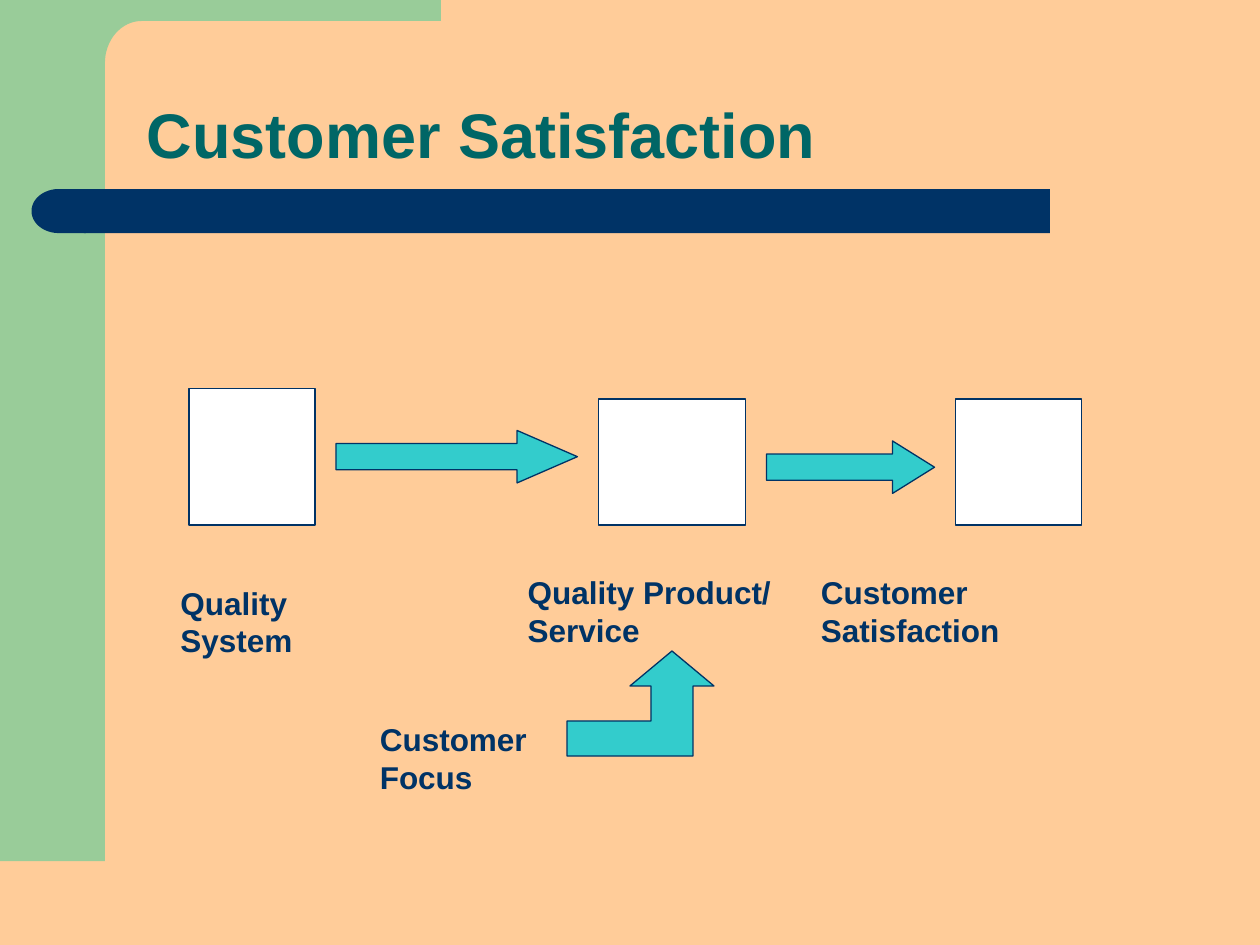
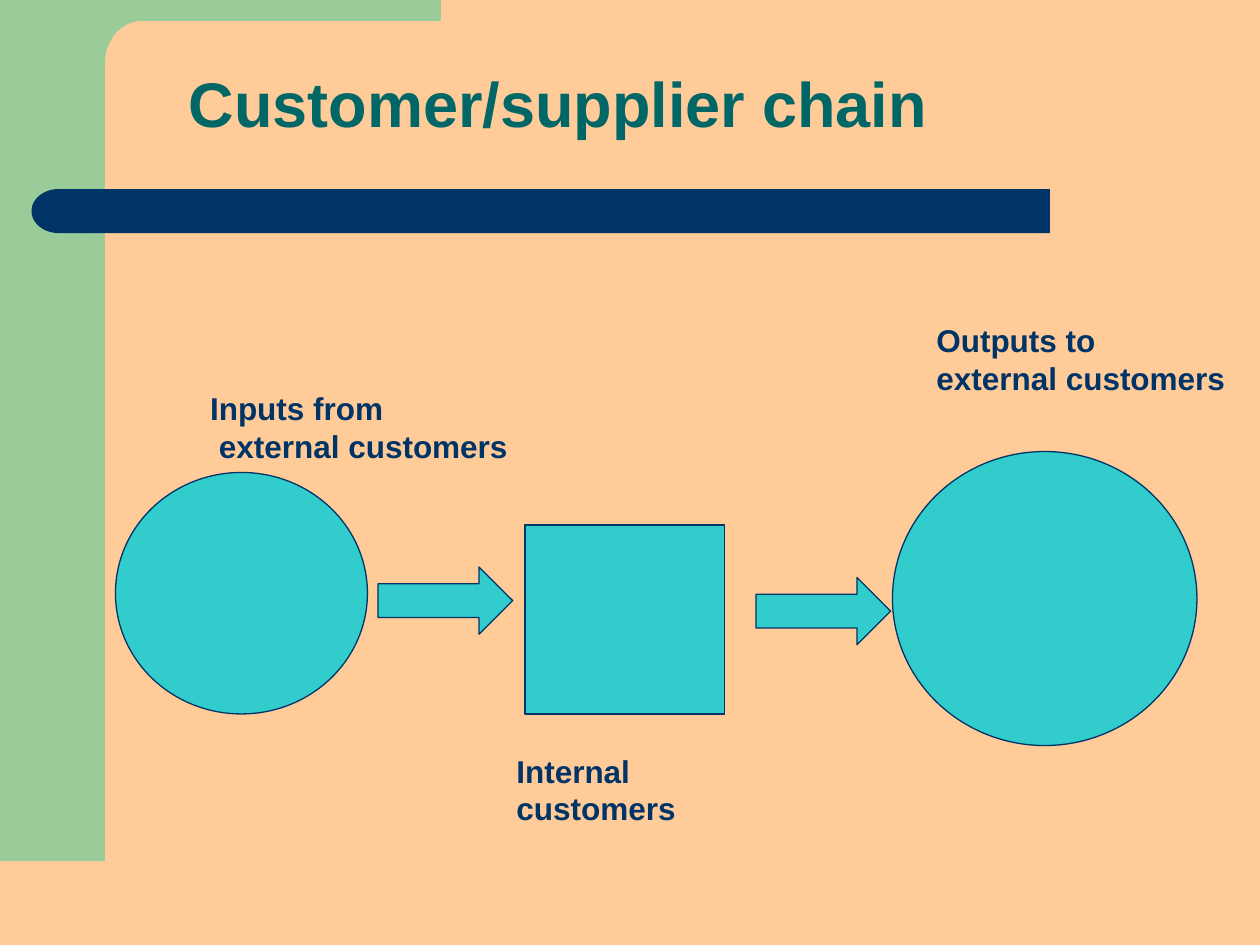
import math
from dataclasses import dataclass

import pptx
import pptx.dml.color
import pptx.enum.shapes
import pptx.enum.text
import pptx.util

Pt = pptx.util.Pt
Kind = pptx.enum.shapes.MSO_SHAPE
Anchor = pptx.enum.text.MSO_ANCHOR


@dataclass(frozen=True)
class Theme:
    paper: str = "FFCC99"
    side: str = "99CC99"
    navy: str = "003366"
    title: str = "006666"
    accent: str = "33CCCC"
    white: str = "FFFFFF"
    font: str = "Arial"
    title_size: float = 36
    label_size: float = 18
    line_width: float = 0.75


@dataclass(frozen=True)
class Box:
    left: float
    top: float
    width: float
    height: float

    def inner(self, left, top, width, height):
        """Box at an offset from this one."""
        return Box(self.left + left, self.top + top, width, height)

    def lengths(self):
        return [Pt(n) for n in (self.left, self.top, self.width, self.height)]


THEME = Theme()
PAGE = Box(0, 0, 720, 540)
CONTENT = PAGE.inner(66, 180, 642, 288)
LINE_HEIGHT = 21.6


def color(code):
    return pptx.dml.color.RGBColor.from_string(code)


def style(shape, fill, outlined):
    shape.shadow.inherit = False
    shape.fill.solid()
    shape.fill.fore_color.rgb = color(fill)
    if outlined:
        shape.line.color.rgb = color(THEME.navy)
        shape.line.width = Pt(THEME.line_width)
    else:
        shape.line.fill.background()
    return shape


def add_shape(page, kind, box, fill=THEME.accent, outlined=True):
    shape = style(page.shapes.add_shape(kind, *box.lengths()), fill, outlined)
    if kind == Kind.RIGHT_ARROW:
        # The head takes a quarter of the arrow's length
        shape.adjustments[1] = box.width / 4 / box.height
    return shape


def add_outline(page, box, points, fill=THEME.accent, outlined=True):
    """Closed outline through points relative to the box."""
    corners = [(Pt(box.left + x), Pt(box.top + y)) for x, y in points]
    builder = page.shapes.build_freeform(*corners[0])
    builder.add_line_segments(corners[1:], close=True)
    return style(builder.convert_to_shape(), fill, outlined)


def add_text(page, box, text, size=THEME.label_size, ink=THEME.navy,
             anchor=Anchor.TOP, wrap=False, spacing=1.0, inset=7.2):
    frame = page.shapes.add_textbox(*box.lengths()).text_frame
    frame.word_wrap = wrap
    frame.vertical_anchor = anchor
    frame.margin_left = Pt(inset)
    for index, line in enumerate(text.split("\n")):
        para = frame.add_paragraph() if index else frame.paragraphs[0]
        para.line_spacing = spacing
        span = para.add_run()
        span.text = line
        span.font.name = THEME.font
        span.font.size = Pt(size)
        span.font.bold = True
        span.font.color.rgb = color(ink)


def add_label(page, area, left, top, width, text, lines=1, wrap=False):
    box = area.inner(left, top, width, 7.2 + lines * LINE_HEIGHT)
    add_text(page, box, text, wrap=wrap)


def draw_frame(page, box):
    """Background, green corner and navy bar shared by all slides."""
    page.background.fill.solid()
    page.background.fill.fore_color.rgb = color(THEME.paper)

    # Green side band and top band, joined by a rounded inner corner
    band, top, reach, floor = 60, 12, 252, 492
    radius_x, radius_y = 21, 24
    angles = [math.radians(90 * step / 16) for step in range(17)]
    curve = [(band + radius_x * (1 - math.sin(angle)),
              top + radius_y * (1 - math.cos(angle))) for angle in angles]
    corner = [(0, 0), (reach, 0), (reach, top), *curve, (band, floor), (0, floor)]
    add_outline(page, box, corner, fill=THEME.side, outlined=False)

    # Navy bar with a round left end
    add_shape(page, Kind.RECTANGLE, box.inner(48, 108, 552, 25.2), THEME.navy, False)
    cap = add_shape(page, Kind.FLOWCHART_DELAY, box.inner(18, 108, 31, 25.2),
                    THEME.navy, False)
    cap.rotation = 180


def draw_title(page, box, text):
    add_text(page, box, text, size=THEME.title_size, ink=THEME.title,
             anchor=Anchor.BOTTOM, wrap=True, spacing=0.9, inset=6)


def draw_satisfaction_flow(page, area):
    # Row of boxes and arrows with equal gaps: kind, top, width, height, fill
    gap, left = 12, 42
    row = [
        (Kind.RECTANGLE, 42, 72, 78, THEME.white),
        (Kind.RIGHT_ARROW, 66, 138, 30, THEME.accent),
        (Kind.RECTANGLE, 48, 84, 72, THEME.white),
        (Kind.RIGHT_ARROW, 72, 96, 30, THEME.accent),
        (Kind.RECTANGLE, 48, 72, 72, THEME.white),
    ]
    for kind, top, width, height, fill in row:
        add_shape(page, kind, area.inner(left, top, width, height), fill)
        left += width + gap

    # Labels
    add_label(page, area, 30, 150, 108, "Quality System", lines=2, wrap=True)
    add_label(page, area, 228.5, 144, 153.4, "Quality Product/\nService", lines=2)
    add_label(page, area, 396, 144, 205, "Customer Satisfaction")
    add_label(page, area, 144, 228, 144, "Customer Focus", lines=2, wrap=True)

    # Bent arrow from the customer focus up to the product, on a 7 by 3 grid
    bend = area.inner(258, 192, 84, 60)
    grid = [(5, 0), (3, 1), (4, 1), (4, 2), (0, 2), (0, 3), (6, 3), (6, 1), (7, 1)]
    add_outline(page, bend, [(x * bend.width / 7, y * bend.height / 3)
                             for x, y in grid])


def draw_supplier_chain(page, area):
    # Input, internal and output stages with arrows between them
    stages = [
        (Kind.OVAL, 0, 90, 144, 138),
        (Kind.RIGHT_ARROW, 150, 144, 77, 38.4),
        (Kind.RECTANGLE, 234, 120, 114, 108),
        (Kind.RIGHT_ARROW, 366, 150, 77, 38.4),
        (Kind.OVAL, 444, 78, 174, 168),
    ]
    for kind, *place in stages:
        add_shape(page, kind, area.inner(*place))

    # Labels
    add_label(page, area, 47, 39, 184.6, "Inputs from\n external customers", lines=2)
    add_label(page, area, 222, 246, 175, "Internal customers")
    add_label(page, area, 462, 0, 179.5, "Outputs to\nexternal customers", lines=2)


def main():
    deck = pptx.Presentation()
    deck.slide_width, deck.slide_height = Pt(PAGE.width), Pt(PAGE.height)
    slides = [
        ("Customer Satisfaction", (78, 24), draw_satisfaction_flow),
        ("Customer/supplier chain", (102, 6), draw_supplier_chain),
    ]
    for title, (left, top), draw_content in slides:
        page = deck.slides.add_slide(deck.slide_layouts[6])
        draw_frame(page, PAGE)
        draw_title(page, PAGE.inner(left, top, 612, 78), title)
        draw_content(page, CONTENT)
    deck.save("out.pptx")


if __name__ == "__main__":
    main()
